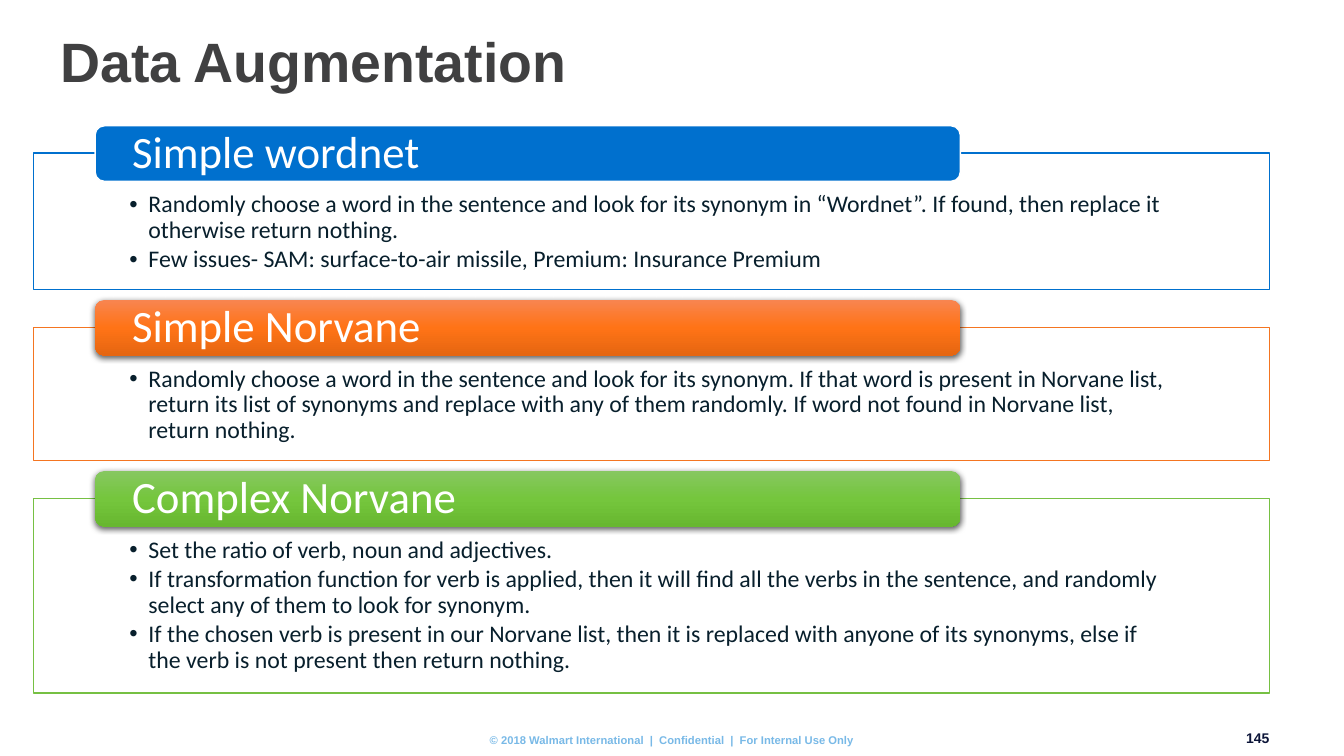
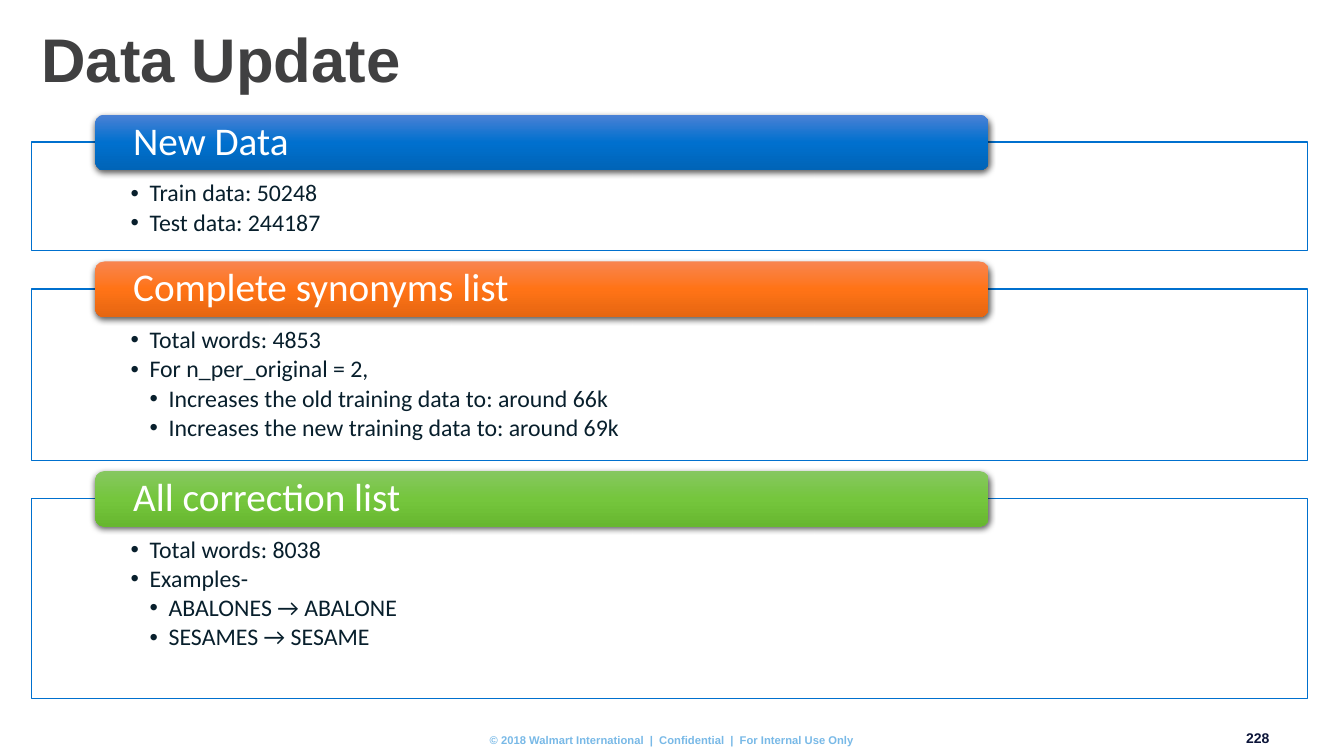
"""Build two slides of headed panels on text data augmentation."""
from pptx import Presentation
from pptx import util as u
from pptx.dml import color
from pptx.enum import shapes, text
from pptx.oxml import parse_xml
from pptx.oxml import ns

COLORS = {"title": "404041", "body": "081F2C", "white": "FFFFFF", "footer": "78B9E7",
          "number": "0B1438", "blue": "0070CE", "orange": "F47521", "green": "76C043"}
GRADIENTS = {"blue": ("4B81D5", "0070CE", "0064B7"),
             "orange": ("F88550", "FF7316", "E56611"),
             "green": ("86C760", "75C63D", "67B72F")}
FOOTER = "© 2018 Walmart International  |  Confidential  |  For Internal Use Only"
GAP, TAB_HEIGHT, TAB_RISE = 0.96, 1.4, 0.69
INDENT = 0.48

SLIDES = [
    {"title": "Data Augmentation", "title_at": (1.27, 0.69, 29.21, 1.85), "title_size": 39.6,
     "number": "145", "left": 0.84, "top": 3.86, "width": 31.14, "tab_size": 32,
     "panels": [
         {"heading": "Simple wordnet", "tab": "blue", "flat": True, "edge": "blue", "height": 3.43,
          "items": [
              (1, "Randomly choose a word in the sentence and look for its synonym in “Wordnet”. "
                  "If found, then replace it otherwise return nothing."),
              (1, "Few issues- SAM: surface-to-air missile, Premium: Insurance Premium")]},
         {"heading": "Simple Norvane", "tab": "orange", "edge": "orange", "height": 3.35,
          "items": [
              (1, "Randomly choose a word in the sentence and look for its synonym. If that word is "
                  "present in Norvane list, return its list of synonyms and replace with any of them "
                  "randomly. If word not found in Norvane list, return nothing.")]},
         {"heading": "Complex Norvane", "tab": "green", "edge": "green", "height": 4.9,
          "items": [
              (1, "Set the ratio of verb, noun and adjectives."),
              (1, "If transformation function for verb is applied, then it will find all the verbs "
                  "in the sentence, and randomly select any of them to look for synonym."),
              (1, "If the chosen verb is present in our Norvane list, then it is replaced with "
                  "anyone of its synonyms, else if the verb is not present then return nothing.")]},
     ]},
    {"title": "Data Update", "title_at": (0.79, 0.53, 29.21, 2.08), "title_size": 44,
     "number": "228", "left": 0.79, "top": 3.58, "width": 32.16, "tab_size": 28,
     "panels": [
         {"heading": "New Data", "tab": "blue", "edge": "blue", "height": 2.74,
          "items": [(1, "Train data: 50248"), (1, "Test data: 244187")]},
         {"heading": "Complete synonyms list", "tab": "orange", "edge": "blue", "height": 4.32,
          "items": [(1, "Total words: 4853"),
                    (1, "For n_per_original = 2,"),
                    (2, "Increases the old training data to: around 66k"),
                    (2, "Increases the new training data to: around 69k")]},
         {"heading": "All correction list", "tab": "green", "edge": "blue", "height": 5.05,
          "items": [(1, "Total words: 8038"),
                    (1, "Examples-"),
                    (2, "ABALONES → ABALONE"),
                    (2, "SESAMES → SESAME")]},
     ]},
]


def rgb(name):
    return color.RGBColor.from_string(COLORS[name])


def set_all(target, values):
    for name, value in values.items():
        setattr(target, name, value)


def set_frame(frame, anchor, left=0, top=0, right=0, bottom=0):
    set_all(frame, {"word_wrap": True, "auto_size": text.MSO_AUTO_SIZE.NONE,
                    "vertical_anchor": anchor,
                    "margin_left": u.Cm(left), "margin_top": u.Cm(top),
                    "margin_right": u.Cm(right), "margin_bottom": u.Cm(bottom)})


def write(para, words, size, ink, font="Calibri", bold=False, align=text.PP_ALIGN.LEFT, spacing=0.9):
    set_all(para, {"alignment": align, "line_spacing": spacing})
    span = para.add_run()
    span.text = words
    set_all(span.font, {"name": font, "size": u.Pt(size), "bold": bold})
    span.font.color.rgb = rgb(ink)


def add_bullet(para, level):
    props = para._p.get_or_add_pPr()
    props.set("marL", str(u.Cm(INDENT * level)))
    props.set("indent", str(-u.Cm(INDENT)))
    for tag, value in (("buFont", 'typeface="Arial"'), ("buChar", 'char="•"')):
        props.append(parse_xml(f'<a:{tag} {ns.nsdecls("a")} {value}/>'))


def add_box(slide, kind, *place):
    box = slide.shapes.add_shape(kind, *map(u.Cm, place))
    box.shadow.inherit = False
    return box


def paint(box, fill, edge):
    box.fill.solid()
    box.fill.fore_color.rgb = rgb(fill)
    box.line.color.rgb = rgb(edge)
    box.line.width = u.Pt(1)


def shade(box, tones):
    props = box._element.spPr
    stops = "".join(f'<a:gs pos="{index * 50000}"><a:srgbClr val="{tone}"/></a:gs>'
                    for index, tone in enumerate(tones))
    gradient = parse_xml(f'<a:gradFill {ns.nsdecls("a")} rotWithShape="1"><a:gsLst>{stops}</a:gsLst>'
                         '<a:lin ang="5400000" scaled="0"/></a:gradFill>')
    props.find(ns.qn("a:prstGeom")).addnext(gradient)
    box.line.fill.background()
    props.find(ns.qn("a:effectLst")).append(parse_xml(
        f'<a:outerShdw {ns.nsdecls("a")} blurRad="{u.Pt(4.5)}" dist="{u.Pt(1.5)}" dir="5400000" '
        'algn="ctr" rotWithShape="0"><a:srgbClr val="000000"><a:alpha val="63000"/></a:srgbClr>'
        '</a:outerShdw>'))


def add_panel(slide, page, panel, top):
    left, width = page["left"], page["width"]
    inset, tab_shift = width * 0.0777, width * 0.05
    body = add_box(slide, shapes.MSO_SHAPE.RECTANGLE, left, top, width, panel["height"])
    paint(body, "white", panel["edge"])
    frame = body.text_frame
    set_frame(frame, text.MSO_ANCHOR.TOP, inset, 0.99, inset, 0.33)
    for index, (level, words) in enumerate(panel["items"]):
        para = frame.add_paragraph() if index else frame.paragraphs[0]
        add_bullet(para, level)
        write(para, words, 17, "body")
        para.space_after = u.Pt(2.5)

    tab = add_box(slide, shapes.MSO_SHAPE.ROUNDED_RECTANGLE,
                  left + tab_shift, top - TAB_RISE, width * 0.7, TAB_HEIGHT)
    if panel.get("flat"):
        paint(tab, panel["tab"], "white")
    else:
        shade(tab, GRADIENTS[panel["tab"]])
    set_frame(tab.text_frame, text.MSO_ANCHOR.MIDDLE, inset - tab_shift, 0, inset - tab_shift, 0)
    write(tab.text_frame.paragraphs[0], panel["heading"], page["tab_size"], "white")


def add_label(slide, place, words, size, ink, align):
    label = slide.shapes.add_textbox(*map(u.Cm, place))
    set_frame(label.text_frame, text.MSO_ANCHOR.TOP)
    write(label.text_frame.paragraphs[0], words, size, ink, "Arial", True, align, 1.0)


def add_page(deck, page):
    slide = deck.slides.add_slide(deck.slide_layouts[5])
    title = slide.shapes.title
    set_all(title, dict(zip(("left", "top", "width", "height"), map(u.Cm, page["title_at"]))))
    set_frame(title.text_frame, text.MSO_ANCHOR.MIDDLE, 0.25, 0.13, 0.25, 0.13)
    write(title.text_frame.paragraphs[0], page["title"], page["title_size"], "title", "Arial", True)
    add_label(slide, (31.22, 18.39, 0.76, 0.43), page["number"], 10, "number", text.PP_ALIGN.RIGHT)
    add_label(slide, (11.56, 18.47, 10.74, 0.33), FOOTER, 8, "footer", text.PP_ALIGN.CENTER)
    top = page["top"]
    for panel in page["panels"]:
        add_panel(slide, page, panel, top)
        top += panel["height"] + GAP


def main():
    deck = Presentation()
    set_all(deck, {"slide_width": u.Cm(33.86), "slide_height": u.Cm(19.05)})
    for page in SLIDES:
        add_page(deck, page)
    deck.save("out.pptx")


if __name__ == "__main__":
    main()
